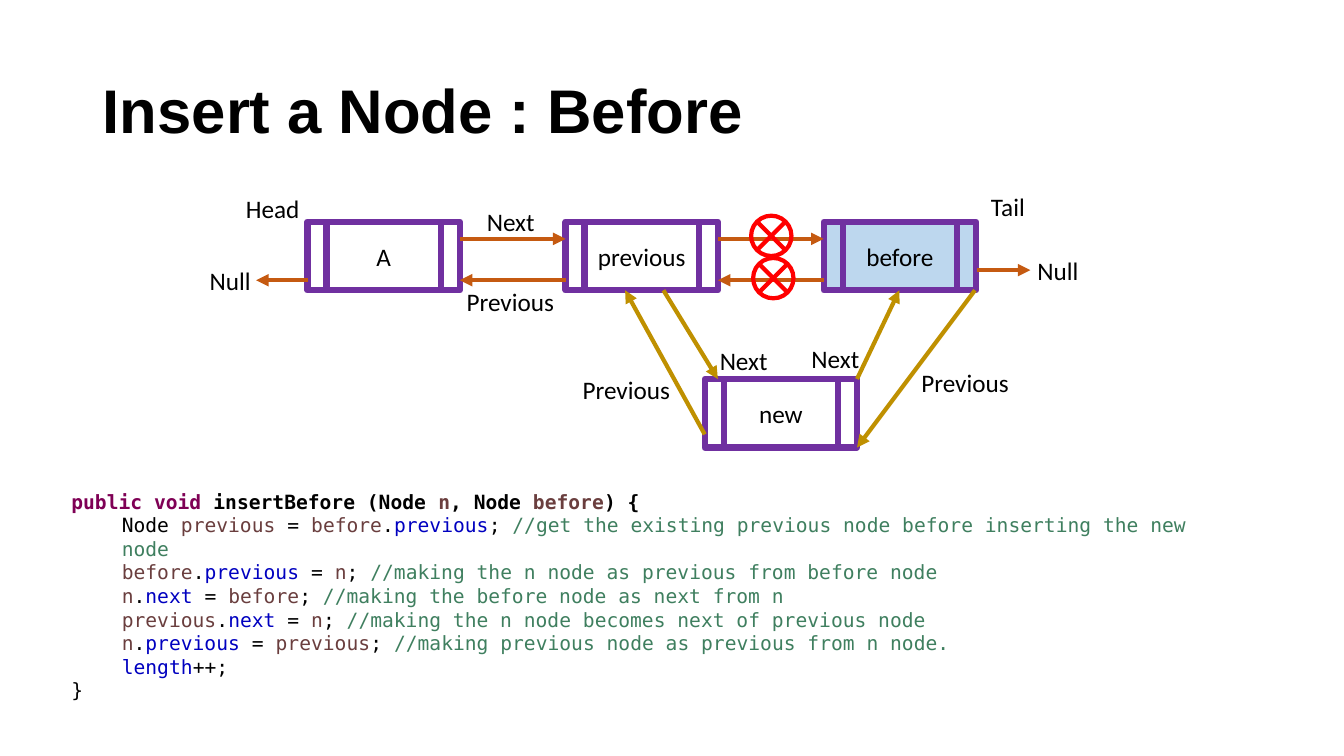
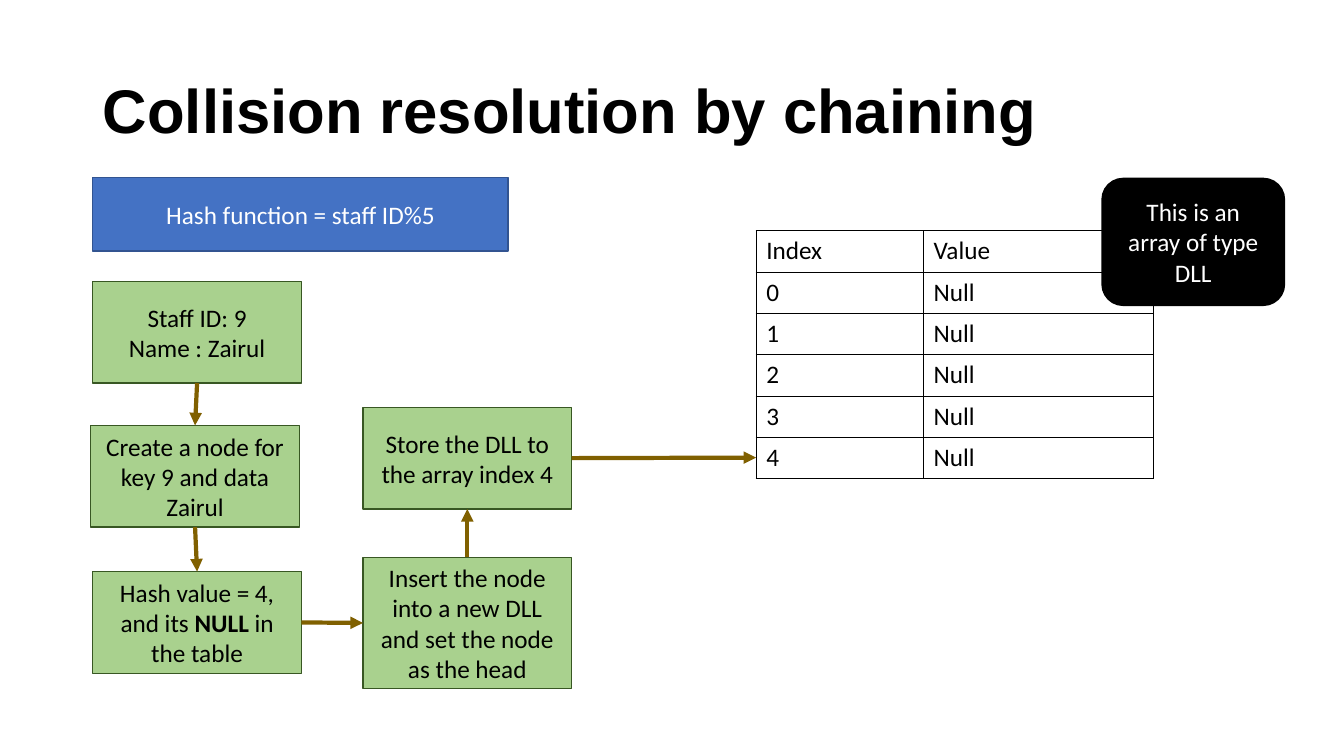
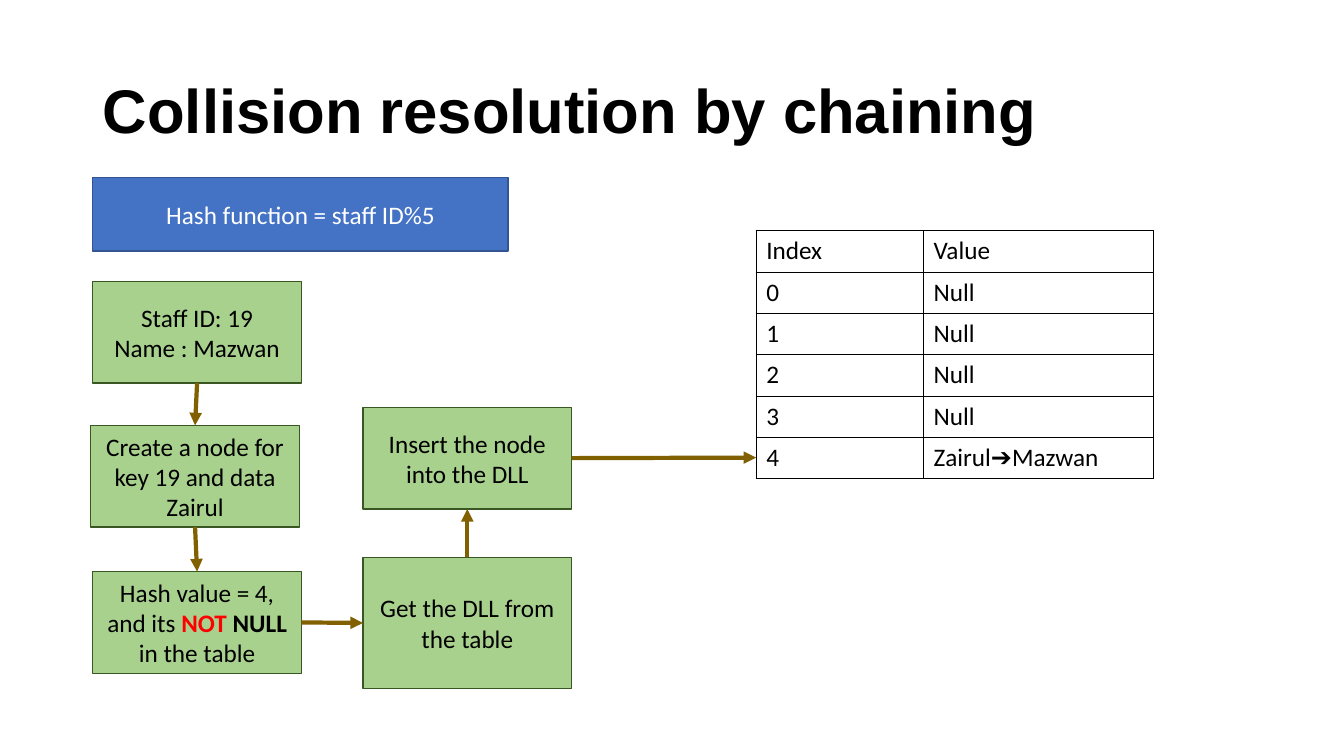
from dataclasses import dataclass

from lxml import etree
from pptx import Presentation
from pptx import util as u
from pptx.dml.color import RGBColor
from pptx.enum import shapes, text
from pptx.oxml import ns

Inches, Pt = u.Inches, u.Pt
Shape, Align, Anchor = shapes.MSO_SHAPE, text.PP_ALIGN, text.MSO_ANCHOR


@dataclass(frozen=True)
class Theme:
    """Colours, fonts and type sizes of the deck."""
    black: str = "000000"
    white: str = "FFFFFF"
    alert: str = "FF0000"
    node_line: str = "7030A0"
    node_fill: str = "BDD7EE"
    old_link: str = "C55A11"
    new_link: str = "BF9000"
    step_fill: str = "A9D18E"
    step_line: str = "385723"
    step_link: str = "806000"
    hash_fill: str = "4472C4"
    hash_line: str = "325491"
    keyword: str = "7F0055"
    variable: str = "6A3E3E"
    field: str = "0000C0"
    comment: str = "3F7F5F"
    title_font: str = "Arial"
    body_font: str = "Calibri"
    code_font: str = "DejaVu Sans Mono"
    title_size: int = 44
    body_size: int = 18
    code_size: int = 14


class Deck:
    """Draws styled elements on the current slide."""

    def __init__(self, theme):
        self.theme = theme
        self.show = Presentation()
        self.show.slide_width, self.show.slide_height = Inches(13.33), Inches(7.5)
        self.slide = None

    def start(self, title):
        self.slide = self.show.slides.add_slide(self.show.slide_layouts[5])
        heading = self.slide.shapes.title
        place = {"left": 0.92, "top": 0.4, "width": 11.5, "height": 1.45}
        for side, value in place.items():
            setattr(heading, side, Inches(value))
        frame = heading.text_frame
        frame.auto_size = text.MSO_AUTO_SIZE.NONE
        self.typeset(frame, [title], Align.LEFT, Anchor.MIDDLE, name=self.theme.title_font,
                     size=Pt(self.theme.title_size), bold=True)
        frame.paragraphs[0].line_spacing = 0.9

    def typeset(self, frame, paragraphs, align=Align.LEFT, anchor=Anchor.TOP, **style):
        frame.vertical_anchor = anchor
        base = {"name": self.theme.body_font, "size": Pt(self.theme.body_size),
                "bold": False, "color": self.theme.black, **style}
        for index, runs in enumerate(paragraphs):
            paragraph = frame.add_paragraph() if index else frame.paragraphs[0]
            paragraph.alignment = align
            for part in [runs] if isinstance(runs, str) else runs:
                words, extra = (part, {}) if isinstance(part, str) else part
                run = paragraph.add_run()
                run.text = words
                for name, value in {**base, **extra}.items():
                    if name == "color":
                        run.font.color.rgb = RGBColor.from_string(value)
                    else:
                        setattr(run.font, name, value)

    def box(self, kind, place, paragraphs=(), fill=None, line=None, weight=1, color=None):
        shape = self.slide.shapes.add_shape(kind, *map(Inches, place))
        shape.shadow.inherit = False
        if fill:
            shape.fill.solid()
            shape.fill.fore_color.rgb = RGBColor.from_string(fill)
        else:
            shape.fill.background()
        shape.line.color.rgb = RGBColor.from_string(line)
        shape.line.width = Pt(weight)
        self.typeset(shape.text_frame, paragraphs, Align.CENTER, Anchor.MIDDLE,
                     color=color or self.theme.black)
        return shape

    def node(self, left, top, name, fill=None):
        self.box(Shape.FLOWCHART_PREDEFINED_PROCESS, (left, top, 1.51, 0.68), [name],
                 fill, self.theme.node_line, 4.5)

    def label(self, left, top, width, words):
        caption = self.slide.shapes.add_textbox(*map(Inches, (left, top, width, 0.4)))
        caption.text_frame.word_wrap = False
        caption.text_frame.auto_size = text.MSO_AUTO_SIZE.SHAPE_TO_FIT_TEXT
        self.typeset(caption.text_frame, [words])

    def arrow(self, start, end, color):
        link = self.slide.shapes.add_connector(
            shapes.MSO_CONNECTOR.STRAIGHT, *map(Inches, (*start, *end)))
        link.line.color.rgb = RGBColor.from_string(color)
        link.line.width = Pt(3)
        outline = link._element.spPr.find(ns.qn("a:ln"))
        etree.SubElement(outline, ns.qn("a:tailEnd"), type="triangle")
        etree.SubElement(link._element.spPr, ns.qn("a:effectLst"))
        return link

    def code(self, place, lines):
        listing = self.slide.shapes.add_textbox(*map(Inches, place)).text_frame
        listing.word_wrap = True
        self.typeset(listing, lines, name=self.theme.code_font, size=Pt(self.theme.code_size))
        for paragraph in listing.paragraphs[1:-1]:
            paragraph.level = 1
            properties = paragraph._p.get_or_add_pPr()
            properties.set("marL", str(Inches(0.5)))
            properties.set("indent", "0")

    def table(self, left, top, widths, row_height, rows):
        size = (sum(widths), row_height * len(rows))
        grid = self.slide.shapes.add_table(
            len(rows), len(widths), *map(Inches, (left, top, *size))).table
        grid.first_row = grid.horz_banding = False
        for column, width in zip(grid.columns, widths):
            column.width = Inches(width)
        for row, values in zip(grid.rows, rows):
            row.height = Inches(row_height)
            for cell, value in zip(row.cells, values):
                self.typeset(cell.text_frame, [value])
                properties = cell._tc.get_or_add_tcPr()
                for side in ("lnL", "lnR", "lnT", "lnB"):
                    border = etree.SubElement(properties, ns.qn(f"a:{side}"), w=str(Pt(1)))
                    paint = etree.SubElement(border, ns.qn("a:solidFill"))
                    etree.SubElement(paint, ns.qn("a:srgbClr"), val=self.theme.black)
                cell.fill.background()


def insert_before(deck):
    theme = deck.theme
    deck.start("Insert a Node : Before")

    width, top, bottom, pitch = 1.51, 2.2, 2.88, 2.56
    lefts = [3.05 + pitch * i for i in range(3)]
    for left, name, fill in zip(lefts, ("A", "previous", "before"),
                                (None, None, theme.node_fill)):
        deck.node(left, top, name, fill)
    deck.node(6.99, 3.76, "new")

    next_y, previous_y = 2.37, 2.78
    for left, right in zip(lefts, lefts[1:]):
        deck.arrow((left + width, next_y), (right, next_y), theme.old_link)
        deck.arrow((right, previous_y), (left + width, previous_y), theme.old_link)
    deck.arrow((lefts[0], previous_y), (2.54, previous_y), theme.old_link)
    deck.arrow((9.69, 2.68), (10.22, 2.68), theme.old_link)

    for start, end in (((6.58, bottom), (7.12, 3.76)), ((8.5, 3.76), (8.92, bottom)),
                       ((9.67, bottom), (8.5, 4.44)), ((6.99, 4.31), (6.2, bottom))):
        deck.arrow(start, end, theme.new_link)

    label_widths = {"Next": 0.68, "Previous": 1.08, "Head": 0.74, "Tail": 0.54, "Null": 0.61}
    for left, label_top, words in (
            (4.73, 2, "Next"), (4.53, 2.79, "Previous"), (2.34, 1.87, "Head"),
            (9.73, 1.85, "Tail"), (1.98, 2.58, "Null"), (10.19, 2.48, "Null"),
            (7.04, 3.38, "Next"), (7.95, 3.36, "Next"),
            (9.04, 3.59, "Previous"), (5.68, 3.66, "Previous")):
        deck.label(left, label_top, label_widths[words], words)

    for left, cross_top in ((7.45, 2.14), (7.47, 2.56)):
        deck.box(Shape.FLOWCHART_SUMMING_JUNCTION, (left, cross_top, 0.4, 0.4),
                 line=theme.alert, weight=3)

    def tint(words, color):
        return words, {"color": color}

    def assign(owner, field, value, comment):
        return [tint(owner, theme.variable), ".", tint(field, theme.field), " = ",
                tint(value, theme.variable), "; ", tint(comment, theme.comment)]

    signature = [tint("public void ", theme.keyword), tint("insertBefore (Node ", theme.black),
                 tint("n", theme.variable), tint(", Node ", theme.black),
                 tint("before", theme.variable), tint(") {", theme.black)]
    deck.code((0.61, 4.81, 11.5, 1.99), [
        [(words, {**style, "bold": True}) for words, style in signature],
        ["Node ", tint("previous", theme.variable), " = ", tint("before", theme.variable), ".",
         tint("previous", theme.field), "; ",
         tint("//get the existing previous node before inserting the new node", theme.comment)],
        assign("before", "previous", "n", "//making the n node as previous from before node"),
        assign("n", "next", "before", "//making the before node as next from n"),
        assign("previous", "next", "n", "//making the n node becomes next of previous node"),
        assign("n", "previous", "previous", "//making previous node as previous from n node."),
        [tint("length", theme.field), "++;"],
        "}",
    ])


def chaining(deck, steps, last_value):
    theme = deck.theme
    deck.start("Collision resolution by chaining")
    values = ["Null"] * 4 + [last_value]
    deck.table(7.5, 2.29, (1.66, 2.28), 0.41,
               [("Index", "Value"), *((str(i), value) for i, value in enumerate(values))])
    deck.box(Shape.RECTANGLE, (0.92, 1.76, 4.12, 0.73), ["Hash function = staff ID%5"],
             theme.hash_fill, theme.hash_line, color=theme.white)

    places = ((0.92, 2.79, 1.01), (0.9, 4.22, 1.01), (0.92, 5.67, 1.01),
              (3.6, 5.53, 1.3), (3.6, 4.04, 1.01))
    boxes = [deck.box(Shape.RECTANGLE, (left, top, 2.07, height), words,
                      theme.step_fill, theme.step_line)
             for (left, top, height), words in zip(places, steps)]

    top, left, bottom, right = range(4)
    exits = ((bottom, top), (bottom, top), (right, left), (top, bottom))
    for source, target, (leave, enter) in zip(boxes, boxes[1:], exits):
        link = deck.arrow((0, 0), (1, 1), theme.step_link)
        link.begin_connect(source, leave)
        link.end_connect(target, enter)
    deck.arrow((5.67, 4.54), (7.5, 4.54), theme.step_link).begin_connect(boxes[-1], right)


def main():
    theme = Theme()
    deck = Deck(theme)
    strong = {"bold": True}
    insert_before(deck)
    chaining(deck, [
        ["Staff ID: 9", "Name : Zairul"],
        ["Create a node for key 9 and data Zairul"],
        [["Hash value = 4, and its ", ("NULL", strong), " in the table"]],
        ["Insert the node into a new DLL and set the node as the head"],
        ["Store the DLL to the array index 4"],
    ], "Null")
    deck.box(Shape.ROUNDED_RECTANGLE, (10.93, 1.77, 1.81, 1.26),
             ["This is an array of type DLL"], theme.black, theme.black, color=theme.white)
    chaining(deck, [
        ["Staff ID: 19", "Name : Mazwan"],
        ["Create a node for key 19 and data Zairul"],
        [["Hash value = 4, and its ", ("NOT ", {**strong, "color": theme.alert}),
          ("NULL", strong), " in the table"]],
        ["Get the DLL from the table"],
        ["Insert the node into the DLL"],
    ], "Zairul➔Mazwan")
    deck.show.save("out.pptx")


if __name__ == "__main__":
    main()
